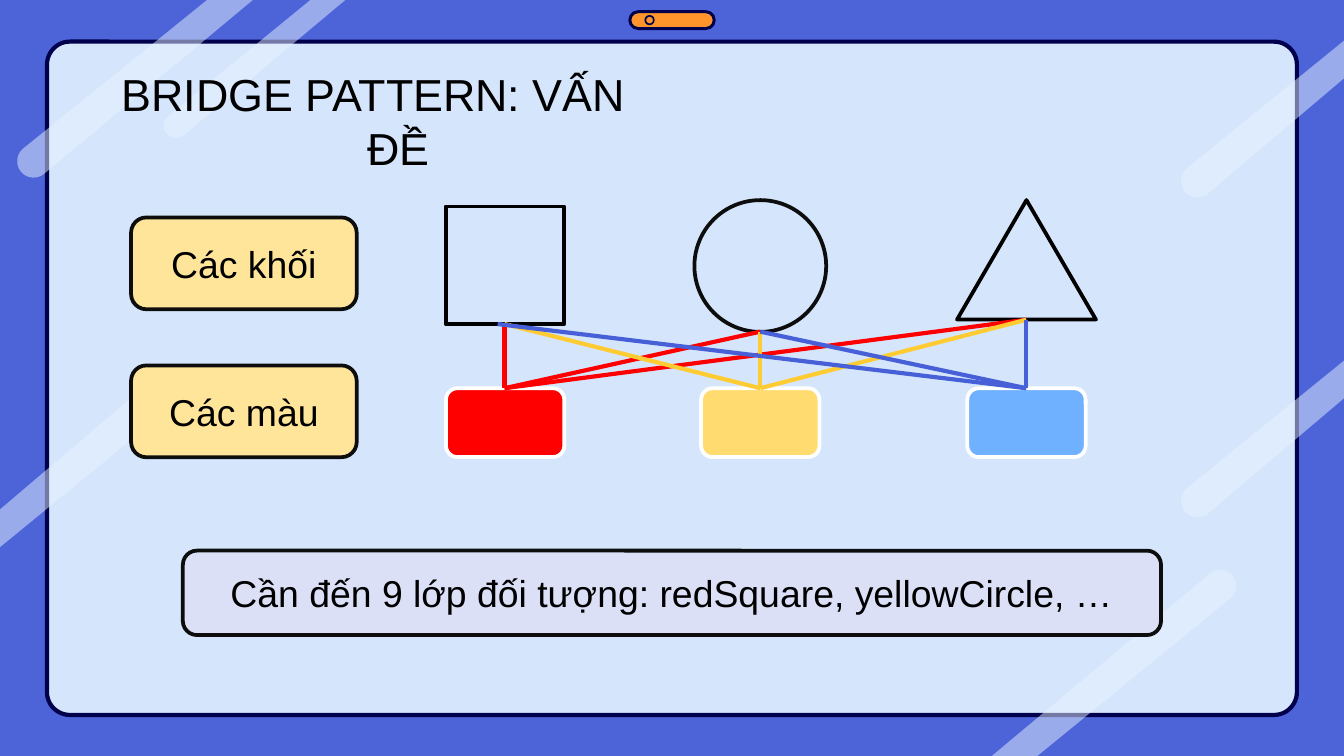
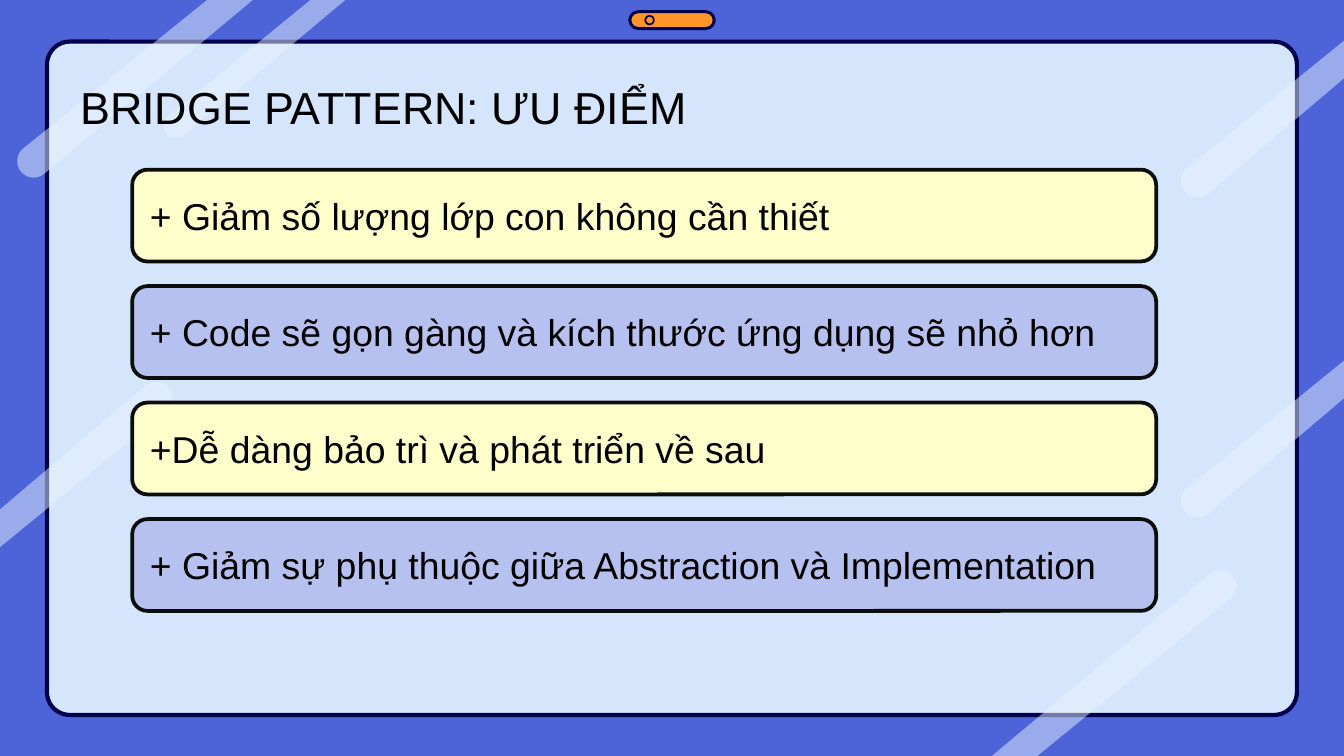
from math import cos, radians, sin

from lxml import etree
from pptx import Presentation
from pptx.dml.color import RGBColor
from pptx.enum import shapes, text
from pptx.oxml import ns
from pptx.util import Pt

COLORS = {
    "backdrop": "4C64D8", "panel": "D5E6FC", "navy": "00004D", "streak": "E9F3FF",
    "orange": "FF952B", "black": "000000", "ink": "0D0D0D", "white": "FFFFFF",
    "label": "FFE599", "note": "DBE0F7", "cream": "FFFFCC", "lavender": "B7C1EF",
    "red": "FF0000", "yellow": "FFDB70", "blue": "6FB0FF",
    "yellow_link": "FFCB33", "blue_link": "4760D7",
}
RECT = shapes.MSO_SHAPE.RECTANGLE
ROUND = shapes.MSO_SHAPE.ROUNDED_RECTANGLE
OVAL = shapes.MSO_SHAPE.OVAL
TRIANGLE = shapes.MSO_SHAPE.ISOSCELES_TRIANGLE
LEFT, CENTER = text.PP_ALIGN.LEFT, text.PP_ALIGN.CENTER

LOWER_CAP, UPPER_CAP = 50, 230
STREAKS = [
    ((18, 86.4), 8.8, LOWER_CAP, [(110.9, 0), (135.4, 0)]),
    ((94.3, 67.4), 6.6, LOWER_CAP, [(166.3, 0), (185, 0)]),
    ((653.8, 313.9), 8.6, UPPER_CAP, [(555.8, 405), (531.4, 405)]),
    ((641.5, 268.4), 8.8, LOWER_CAP, [(720, 193.2), (720, 213.4)]),
    ((641.5, 97), 8.8, LOWER_CAP, [(720, 21.8), (720, 42)]),
    ((83.7, 213.3), 8.8, UPPER_CAP, [(0, 293.2), (0, 273)]),
]


def rgb(name):
    return RGBColor.from_string(COLORS[name])


class Deck:
    font = "Arial"

    def __init__(self):
        self.presentation = Presentation()
        self.presentation.slide_width = Pt(720)
        self.presentation.slide_height = Pt(405)
        fill = self.presentation.slide_master.background.fill
        fill.solid()
        fill.fore_color.rgb = rgb("backdrop")
        self.slide = None

    def add_slide(self):
        self.slide = self.presentation.slides.add_slide(self.presentation.slide_layouts[6])
        panel = self.shape(ROUND, (25.2, 22.3, 669.6, 360.7), "panel", "navy", 2.25)
        panel.adjustments[0] = 0.034
        for streak in STREAKS:
            self.streak(*streak)
        pill = self.shape(ROUND, (337.4, 6.3, 45.2, 9), "orange", "navy", 1.6)
        pill.adjustments[0] = 0.5
        self.shape(OVAL, (345.7, 8.5, 4.6, 4.6), None, "navy", 0.9)

    def paint(self, shape, fill, line, width):
        shape.shadow.inherit = False
        if fill:
            shape.fill.solid()
            shape.fill.fore_color.rgb = rgb(fill)
        else:
            shape.fill.background()
        if line:
            shape.line.color.rgb = rgb(line)
            shape.line.width = Pt(width)
        else:
            shape.line.fill.background()

    def shape(self, kind, box, fill=None, line="ink", width=2):
        shape = self.slide.shapes.add_shape(kind, *map(Pt, box))
        self.paint(shape, fill, line, width)
        return shape

    def streak(self, center, radius, start, tail):
        angles = [radians(start + step) for step in range(0, 181, 15)]
        cap = [(center[0] + radius * cos(a), center[1] + radius * sin(a)) for a in angles]
        points = [(Pt(x), Pt(y)) for x, y in cap + tail]
        builder = self.slide.shapes.build_freeform(*points[0])
        builder.add_line_segments(points[1:], close=True)
        shape = builder.convert_to_shape()
        self.paint(shape, "streak", None, 0)
        color = shape._element.spPr.find(".//" + ns.qn("a:srgbClr"))
        etree.SubElement(color, ns.qn("a:alpha"), val="50000")

    def set_words(self, shape, words, size, align):
        frame = shape.text_frame
        frame.text = words
        frame.word_wrap = True
        paragraph = frame.paragraphs[0]
        paragraph.alignment = align
        font = paragraph.runs[0].font
        font.name, font.size = self.font, Pt(size)
        font.color.rgb = rgb("black")
        return paragraph

    def title(self, words, box):
        shape = self.slide.shapes.add_textbox(*map(Pt, box))
        frame = shape.text_frame
        frame.margin_left = frame.margin_right = Pt(7.2)
        frame.margin_top = frame.margin_bottom = Pt(7.2)
        properties = self.set_words(shape, words, 24, CENTER)._p.get_or_add_pPr()
        properties.set("marL", str(Pt(36)))
        properties.set("indent", str(Pt(-27)))

    def card(self, words, box, fill, align=CENTER):
        shape = self.shape(ROUND, box, fill)
        shape.text_frame.vertical_anchor = text.MSO_ANCHOR.MIDDLE
        self.set_words(shape, words, 20, align)

    def link(self, start, end, color):
        connector = self.slide.shapes.add_connector(
            shapes.MSO_CONNECTOR.STRAIGHT, *map(Pt, start + end))
        connector.line.color.rgb = rgb(color)
        connector.line.width = Pt(2.25)
        etree.SubElement(connector._element.spPr, ns.qn("a:effectLst"))


def problem_slide(deck):
    deck.add_slide()
    deck.title("BRIDGE PATTERN: VẤN ĐỀ", (31, 28.8, 329, 55.4))
    deck.shape(RECT, (238.8, 110.6, 63.4, 63.2), line="black")
    deck.shape(OVAL, (372, 107.2, 70.6, 70.6))
    deck.shape(TRIANGLE, (512.7, 107.2, 74.4, 64), line="black")
    for left, color in ((238.9, "red"), (375.6, "yellow"), (518.2, "blue")):
        deck.shape(ROUND, (left, 208, 63.4, 36.9), color, "white")
    for top, words in ((116.5, "Các khối"), (195.8, "Các màu")):
        deck.card(words, (70.2, top, 120.9, 49.2), "label")
    deck.card("Cần đến 9 lớp đối tượng: redSquare, yellowCircle, …",
              (98, 295, 524, 45.2), "note")

    square, circle, triangle = (270.3, 173.6), (407.3, 177.7), (549.8, 171.3)
    links = (
        (270.3, "red", (square, circle, triangle)),
        (407.3, "yellow_link", (square, circle, triangle)),
        (549.8, "blue_link", ((266.6, 173.6), circle, triangle)),
    )
    for swatch, color, starts in links:
        for start in starts:
            deck.link(start, (swatch, 208), color)


def benefits_slide(deck):
    deck.add_slide()
    deck.title("BRIDGE PATTERN: ƯU ĐIỂM", (4.5, 35.5, 393, 55.4))
    benefits = (
        "+ Giảm số lượng lớp con không cần thiết",
        "+ Code sẽ gọn gàng và kích thước ứng dụng sẽ nhỏ hơn",
        "+Dễ dàng bảo trì và phát triển về sau",
        "+ Giảm sự phụ thuộc giữa Abstraction và Implementation",
    )
    for index, words in enumerate(benefits):
        fill = ("cream", "lavender")[index % 2]
        deck.card(words, (70.8, 90.9 + 62.4 * index, 548.6, 49.2), fill, LEFT)


def main():
    deck = Deck()
    problem_slide(deck)
    benefits_slide(deck)
    deck.presentation.save("out.pptx")


if __name__ == "__main__":
    main()
